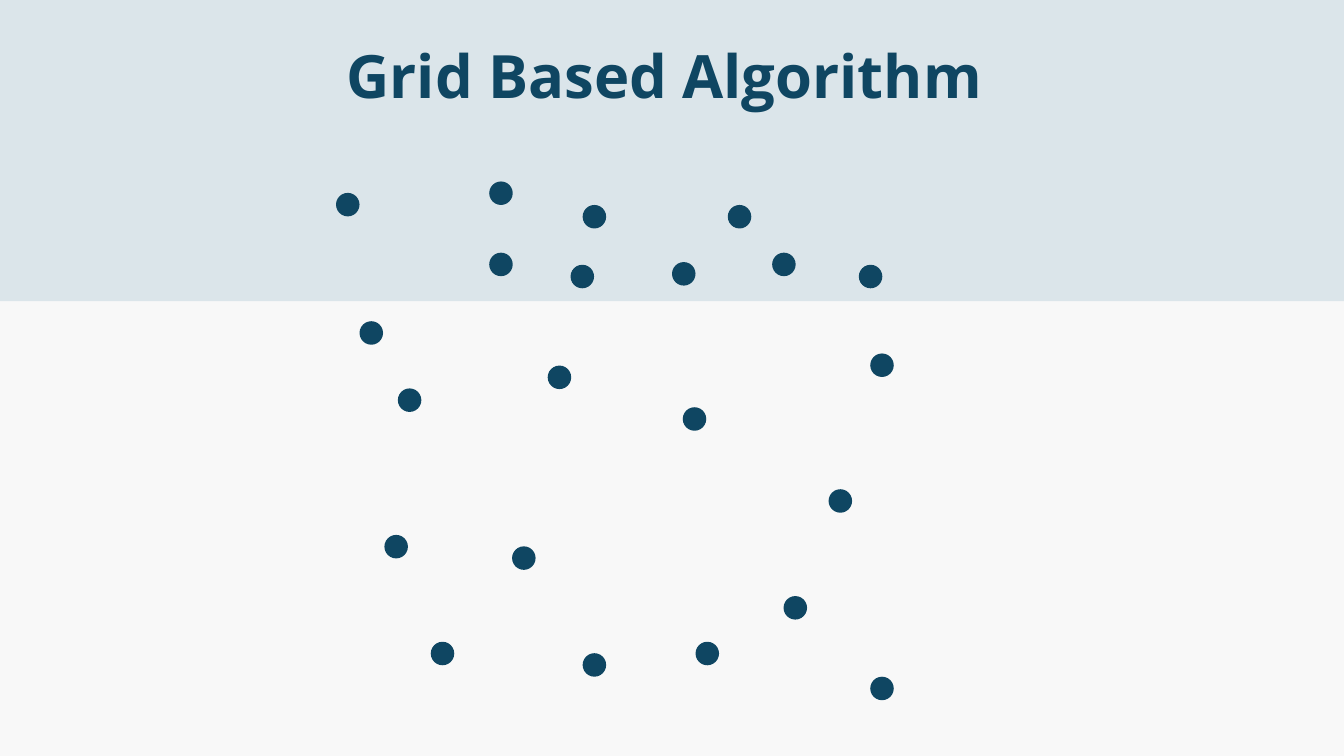
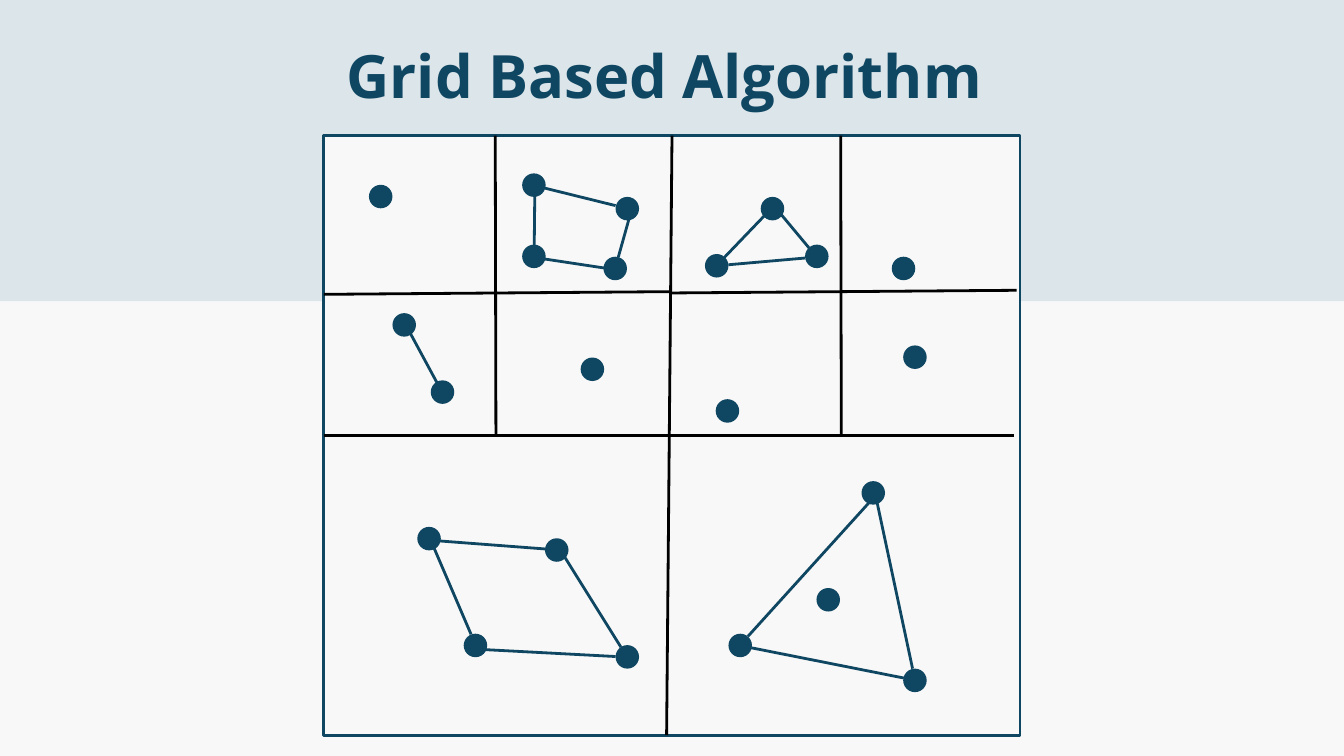
from dataclasses import dataclass
from typing import NamedTuple, Optional

from lxml.etree import SubElement
from pptx import Presentation
from pptx.dml.color import RGBColor as Rgb
from pptx.enum.shapes import MSO_CONNECTOR as Conn, MSO_SHAPE as Kind
from pptx.enum.text import MSO_AUTO_SIZE as Fit, PP_ALIGN as Align
from pptx.oxml.ns import qn
from pptx.shapes.autoshape import Shape
from pptx.slide import Slide
from pptx.util import Emu, Pt

SCALE = 9144  # EMU per px, 100 px to the inch


@dataclass(frozen=True)
class Theme:
    page: Rgb = Rgb.from_string("F8F8F8")
    band: Rgb = Rgb.from_string("DBE5EA")
    navy: Rgb = Rgb.from_string("0F4662")
    black: Rgb = Rgb.from_string("000000")
    font: str = "Open Sans"
    title: Pt = Pt(64)
    lead: Pt = Pt(89.6)
    line: Pt = Pt(3)


class Box(NamedTuple):
    x: int
    y: int
    w: int
    h: int


class Dot(NamedTuple):
    x: int
    y: int


class Line(NamedTuple):
    x1: int
    y1: int
    x2: int
    y2: int
    site: Optional[int] = None  # side of the frame where the line begins


THEME = Theme()
SIZE = Dot(2000, 1125)
BAND = Box(0, 0, 2000, 448)
TITLE = Box(433, 40, 1111, 120)
FRAME = Box(482, 202, 1036, 892)
DOT = 35
SHIFT = Dot(49, -12)  # move of every point once the grid is laid

DOTS = [Dot(*at) for at in (
    (1083, 305), (592, 578), (728, 270), (572, 796), (867, 305), (1016, 606),
    (1295, 526), (728, 376), (815, 544), (535, 478), (762, 813), (849, 394),
    (500, 287), (1233, 728), (867, 972), (641, 955), (1149, 376), (1000, 390),
    (1166, 887), (1278, 394), (1295, 1007), (1035, 955),
)]

GRID = [Line(*at) for at in (
    (1513, 432, 996, 436), (1000, 434, 482, 438), (482, 648, 1509, 648, 1),
    (1251, 202, 1252, 650), (1000, 202, 992, 1094, 0), (737, 202, 738, 650),
)]

LINKS = [Line(*at) for at in (
    # pair
    (602, 480, 650, 569),
    # upper four
    (796, 273, 795, 365), (941, 308, 920, 383),
    (916, 306, 811, 280), (920, 402, 801, 384),
    # upper three
    (1150, 308, 1078, 383), (1204, 369, 1154, 309), (1198, 384, 1084, 394),
    # lower four
    (812, 817, 628, 803), (916, 977, 708, 966),
    (701, 944, 641, 804), (924, 963, 831, 814),
    # lower three
    (1358, 995, 1301, 728), (1113, 947, 1305, 735), (1118, 964, 1345, 1009),
)]


def px(n: int) -> Emu:
    return Emu(n * SCALE)


def put(thing: object, form: dict) -> None:
    for key, val in form.items():
        setattr(thing, key, val)


def draw(slide: Slide, kind: Kind, box: Box, fill: Rgb,
         edge: Optional[Rgb] = None) -> Shape:
    shape = slide.shapes.add_shape(kind, *map(px, box))
    shape.shadow.inherit = False
    shape.fill.solid()
    shape.fill.fore_color.rgb = fill
    if edge is None:
        shape.line.fill.background()
    else:
        shape.line.color.rgb = edge
        shape.line.width = THEME.line
    return shape


def rule(slide: Slide, line: Line, color: Rgb,
         frame: Optional[Shape] = None) -> None:
    conn = slide.shapes.add_connector(Conn.STRAIGHT, *map(px, line[:4]))
    if frame is not None and line.site is not None:
        conn.begin_connect(frame, line.site)
    conn.line.color.rgb = color
    conn.line.width = THEME.line
    SubElement(conn._element.spPr, qn("a:effectLst"))


def dots(slide: Slide, move: Dot = Dot(0, 0)) -> None:
    for x, y in DOTS:
        draw(slide, Kind.OVAL, Box(x + move.x, y + move.y, DOT, DOT), THEME.navy)


def base(deck) -> Slide:
    slide = deck.slides.add_slide(deck.slide_layouts[6])
    back = slide.background.fill
    back.solid()
    back.fore_color.rgb = THEME.page
    draw(slide, Kind.RECTANGLE, BAND, THEME.band)
    return slide


def head(slide: Slide, text: str) -> None:
    frame = slide.shapes.add_textbox(*map(px, TITLE)).text_frame
    put(frame, dict(margin_left=0, margin_top=0, margin_right=0,
                    margin_bottom=0, word_wrap=True,
                    auto_size=Fit.SHAPE_TO_FIT_TEXT))
    para = frame.paragraphs[0]
    put(para, dict(alignment=Align.CENTER, line_spacing=THEME.lead))
    run = para.add_run()
    run.text = text
    put(run.font, dict(name=THEME.font, size=THEME.title, bold=True))
    run.font.color.rgb = THEME.navy


def main() -> None:
    deck = Presentation()
    put(deck, dict(slide_width=px(SIZE.x), slide_height=px(SIZE.y)))
    name = "Grid Based Algorithm"

    # Points alone
    slide = base(deck)
    dots(slide)
    head(slide, name)

    # Points in grid cells, linked into clusters
    slide = base(deck)
    frame = draw(slide, Kind.RECTANGLE, FRAME, THEME.page, THEME.navy)
    for line in GRID:
        rule(slide, line, THEME.black, frame)
    dots(slide, SHIFT)
    for line in LINKS:
        rule(slide, line, THEME.navy)
    head(slide, name)

    deck.save("out.pptx")


if __name__ == "__main__":
    main()
